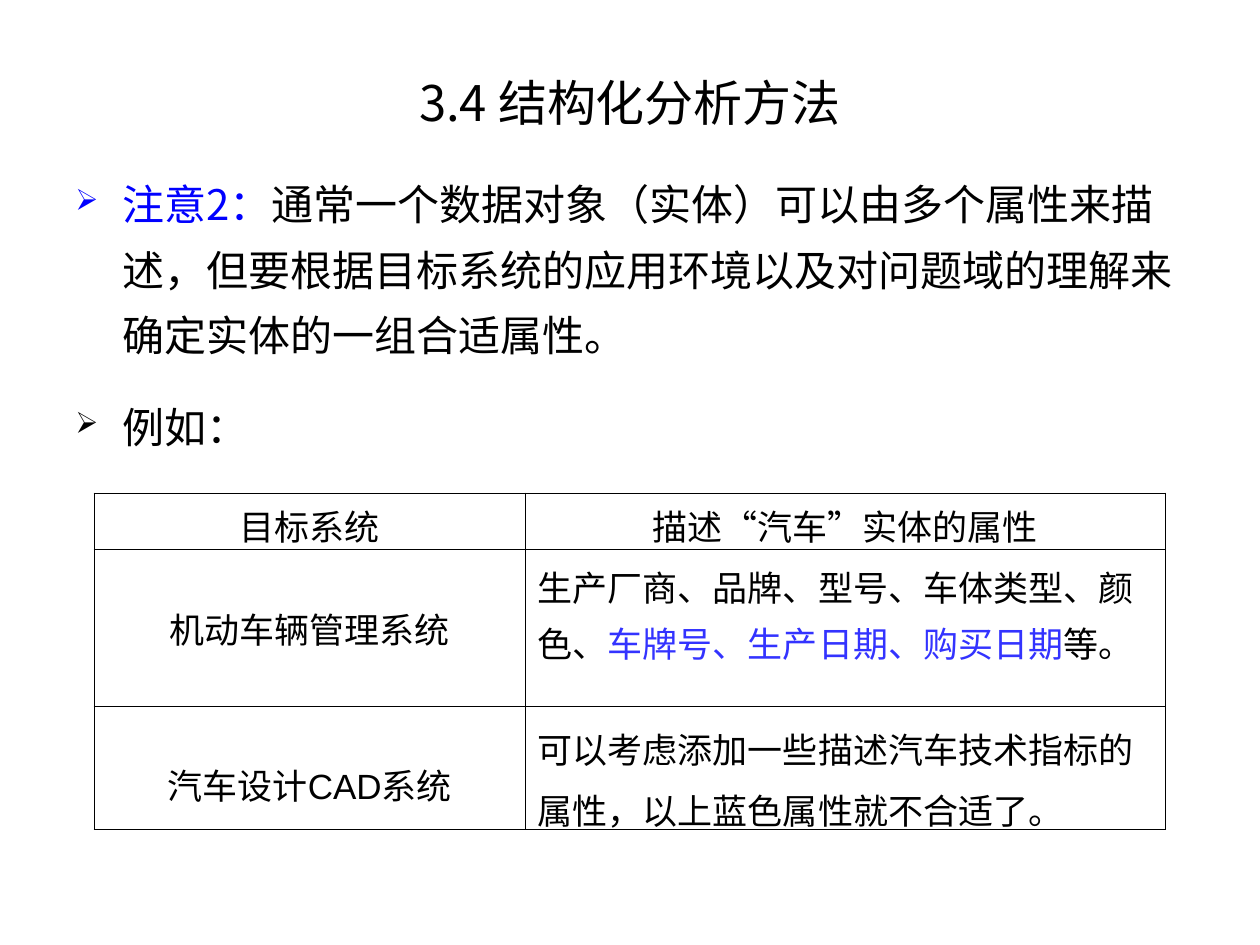
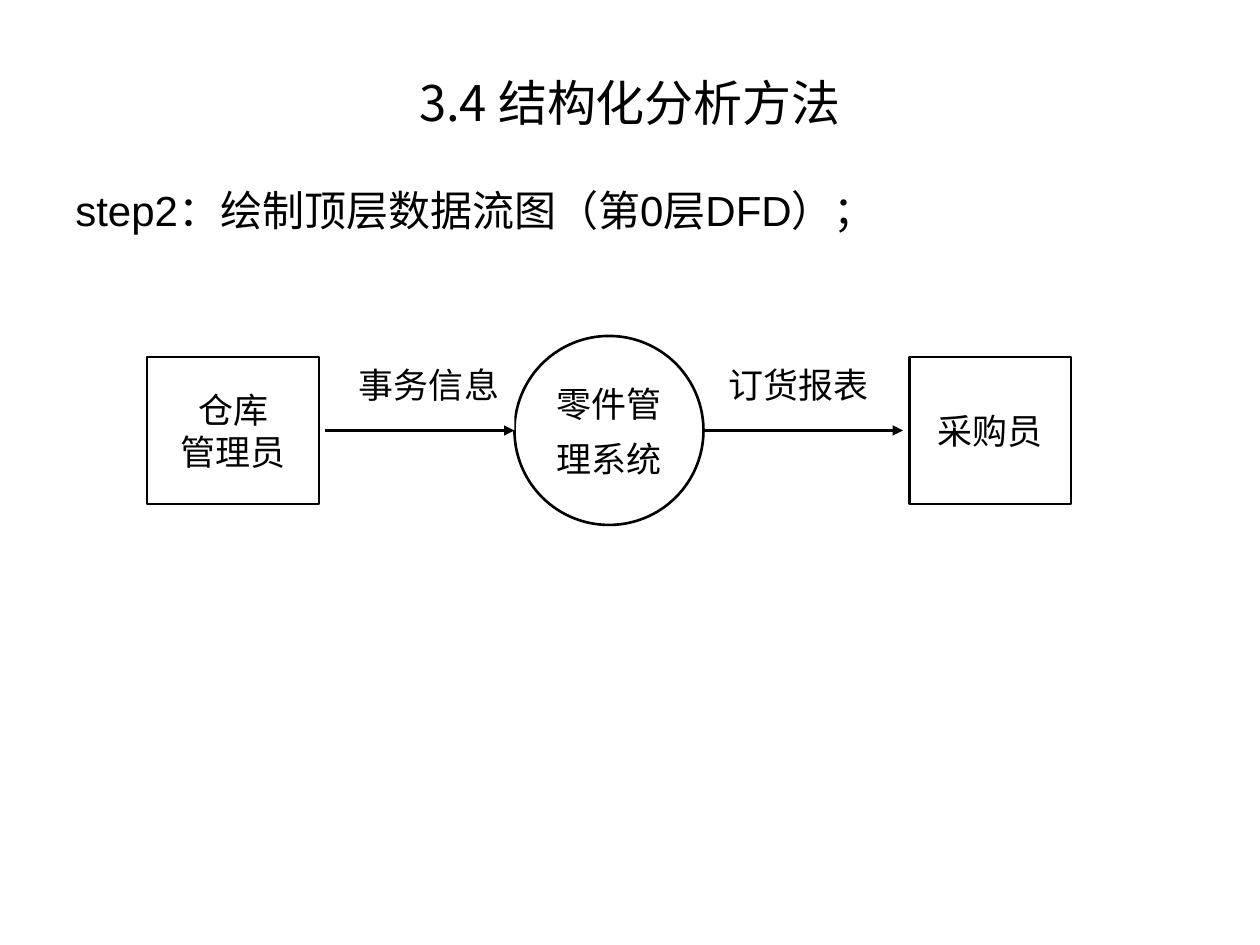
from lxml import etree
from pptx import Presentation
from pptx.dml.color import RGBColor
from pptx.enum.shapes import MSO_CONNECTOR, MSO_SHAPE
from pptx.enum.text import MSO_ANCHOR, PP_ALIGN
from pptx.oxml.ns import qn
from pptx.util import Inches, Pt

CENTER, LEFT, JUSTIFY = PP_ALIGN.CENTER, PP_ALIGN.LEFT, PP_ALIGN.JUSTIFY
TOP, MIDDLE = MSO_ANCHOR.TOP, MSO_ANCHOR.MIDDLE
RECTANGLE, OVAL = MSO_SHAPE.RECTANGLE, MSO_SHAPE.OVAL
STRAIGHT = MSO_CONNECTOR.STRAIGHT

BLACK, WHITE, BLUE, ATTRIBUTE_BLUE = "000000", "FFFFFF", "0000FF", "3333FF"
CJK, SANS, SERIF = "Noto Sans CJK SC", "Arial", "Times New Roman"
TITLE = "3.4 结构化分析方法"
HANG = 4.5  # hanging indent, in grid units


def grid(*units):
    """Lengths on a grid of 120 columns by 90 rows, twelve to the inch."""
    return [Inches(unit / 12) for unit in units]


def color(hex_string):
    return RGBColor.from_string(hex_string)


def add_xml(parent, tag, **attributes):
    return etree.SubElement(parent, qn(tag), attributes)


def write(paragraph, runs, size, font, align=LEFT, spacing=1.0, before=0):
    """Fill a paragraph with (text, colour) runs, or one black string."""
    if isinstance(runs, str):
        runs = [(runs, BLACK)]
    paragraph.alignment = align
    paragraph.line_spacing = spacing
    paragraph.space_before = Pt(before)
    paragraph.font.size = Pt(size)
    paragraph.font.name = font
    for latin in paragraph._p.iter(qn("a:latin")):
        latin.addnext(latin.makeelement(qn("a:ea"), {"typeface": CJK}))
    paragraph.font.color.rgb = color(runs[0][1])
    for text, run_color in runs:
        run = paragraph.add_run()
        run.text = text
        if run_color != runs[0][1]:
            run.font.color.rgb = color(run_color)


def hang(paragraph, bullet_color=None):
    """Hanging indent, with an arrow bullet where a colour is given."""
    indent = grid(HANG)[0]
    properties = paragraph._p.get_or_add_pPr()
    properties.set("marL", str(indent))
    properties.set("indent", str(-indent))
    if bullet_color:
        add_xml(add_xml(properties, "a:buClr"), "a:srgbClr", val=bullet_color)
        add_xml(properties, "a:buSzPct", val="70000")
        add_xml(properties, "a:buChar", char="➢")


def add_titled_slide(deck):
    slide = deck.slides.add_slide(deck.slide_layouts[5])
    title = slide.shapes.title
    title.left, title.top, title.width, title.height = grid(6, 5, 108, 9.4)
    title.text_frame.vertical_anchor = MIDDLE
    write(title.text_frame.paragraphs[0], TITLE, 28, CJK, CENTER)
    return slide


def add_body(slide, top, height):
    frame = slide.shapes.add_textbox(*grid(6, top, 108, height)).text_frame
    frame.word_wrap = True
    return frame


def set_borders(cell, row, column, last_row, last_column):
    """Outer table edges are heavier than the inner rules."""
    outer = {"L": column == 0, "R": column == last_column,
             "T": row == 0, "B": row == last_row}
    properties = cell._tc.get_or_add_tcPr()
    for position, (side, is_outer) in enumerate(outer.items()):
        line = add_xml(properties, f"a:ln{side}", w=str(Pt(1.08 if is_outer else 0.45)))
        add_xml(add_xml(line, "a:solidFill"), "a:srgbClr", val=BLACK)
        properties.insert(position, line)


def add_attribute_table(slide, rows, left, top, widths, heights):
    """Each cell is (runs, font, align, anchor, line spacing, space before)."""
    table = slide.shapes.add_table(
        len(rows), len(widths), *grid(left, top, sum(widths), sum(heights))).table
    table.first_row = table.horz_banding = False
    for column, width in zip(table.columns, grid(*widths)):
        column.width = width
    for row, height in zip(table.rows, grid(*heights)):
        row.height = height
    for r, row in enumerate(rows):
        for c, (runs, font, align, anchor, spacing, before) in enumerate(row):
            cell = table.cell(r, c)
            cell.vertical_anchor = anchor
            cell.fill.background()
            set_borders(cell, r, c, len(rows) - 1, len(widths) - 1)
            write(cell.text_frame.paragraphs[0], runs, 20, font, align, spacing, before)


def add_node(slide, kind, lines, place, align=CENTER, anchor=MIDDLE,
             outlined=True, wrap=False, spacing=1.0):
    node = slide.shapes.add_shape(kind, *grid(*place))
    node.shadow.inherit = False
    node.fill.solid()
    node.fill.fore_color.rgb = color(WHITE)
    if outlined:
        node.line.color.rgb = color(BLACK)
        node.line.width = Pt(1.5)
    else:
        node.line.fill.background()
    frame = node.text_frame
    frame.word_wrap = wrap
    frame.vertical_anchor = anchor
    for i, line in enumerate(lines):
        paragraph = frame.add_paragraph() if i else frame.paragraphs[0]
        write(paragraph, line, 20, SERIF, align, spacing)


def add_flow_label(slide, text, place):
    add_node(slide, RECTANGLE, [text], place, JUSTIFY, TOP, outlined=False, wrap=True)


def add_flow_arrow(slide, start, end, row):
    arrow = slide.shapes.add_connector(STRAIGHT, *grid(start, row, end, row))
    arrow.line.color.rgb = color(BLACK)
    arrow.line.width = Pt(1.5)
    add_xml(arrow.line._get_or_add_ln(), "a:tailEnd", type="triangle")
    add_xml(arrow._element.spPr, "a:effectLst")


def build_attributes_slide(deck):
    slide = add_titled_slide(deck)

    # Bulleted notes
    notes = [
        [("注意2：", BLUE),
         ("通常一个数据对象（实体）可以由多个属性来描述，但要根据目标系统的"
          "应用环境以及对问题域的理解来确定实体的一组合适属性。", BLACK)],
        [("例如：", BLACK)],
    ]
    frame = add_body(slide, 15, 65.4)
    for i, note in enumerate(notes):
        paragraph = frame.add_paragraph() if i else frame.paragraphs[0]
        hang(paragraph, note[0][1])
        write(paragraph, note, 24, CJK, spacing=1.3, before=15)

    # Attributes of the car entity in each target system
    vehicle_attributes = [
        ("生产厂商、品牌、型号、车体类型、颜色、", BLACK),
        ("车牌号、生产日期、购买日期", ATTRIBUTE_BLUE), ("等。", BLACK)]
    design_attributes = "可以考虑添加一些描述汽车技术指标的属性，以上蓝色属性就不合适了。"
    rows = [
        [("目标系统", SANS, CENTER, TOP, 1.0, 5),
         ("描述“汽车”实体的属性", CJK, CENTER, TOP, 1.0, 5)],
        [("机动车辆管理系统", CJK, CENTER, MIDDLE, 1.0, 5),
         (vehicle_attributes, SANS, LEFT, TOP, 1.1, 5)],
        [("汽车设计CAD系统", SANS, CENTER, TOP, 1.9, 0),
         (design_attributes, SANS, LEFT, TOP, 1.2, 12.5)],
    ]
    add_attribute_table(slide, rows, 9, 47, widths=(41, 61), heights=(5.3, 15, 11.7))


def build_data_flow_slide(deck):
    slide = add_titled_slide(deck)

    # Step heading
    step = add_body(slide, 17, 11).paragraphs[0]
    hang(step)
    write(step, "step2：绘制顶层数据流图（第0层DFD）；", 24, SANS, before=6)

    # Top-level data flow diagram
    box_top, box_height = 34, 14
    flow_row = box_top + box_height / 2
    add_node(slide, OVAL, ["零件管理系统"], (49, flow_row - 9, 18, 18),
             anchor=TOP, wrap=True, spacing=1.3)
    add_flow_label(slide, "订货报表", (68.2, box_top, 17.4, 6))
    add_flow_label(slide, "事务信息", (33, box_top, 16, 7))
    add_node(slide, RECTANGLE, ["仓库", "管理员"], (14, box_top, 16.4, box_height))
    add_flow_arrow(slide, 31, 49, flow_row)
    add_node(slide, RECTANGLE, ["采购员"], (86.6, box_top, 15.4, box_height))
    add_flow_arrow(slide, 67, 86, flow_row)


def main():
    deck = Presentation()
    deck.slide_width, deck.slide_height = grid(120, 90)
    build_attributes_slide(deck)
    build_data_flow_slide(deck)
    deck.save("out.pptx")


if __name__ == "__main__":
    main()
